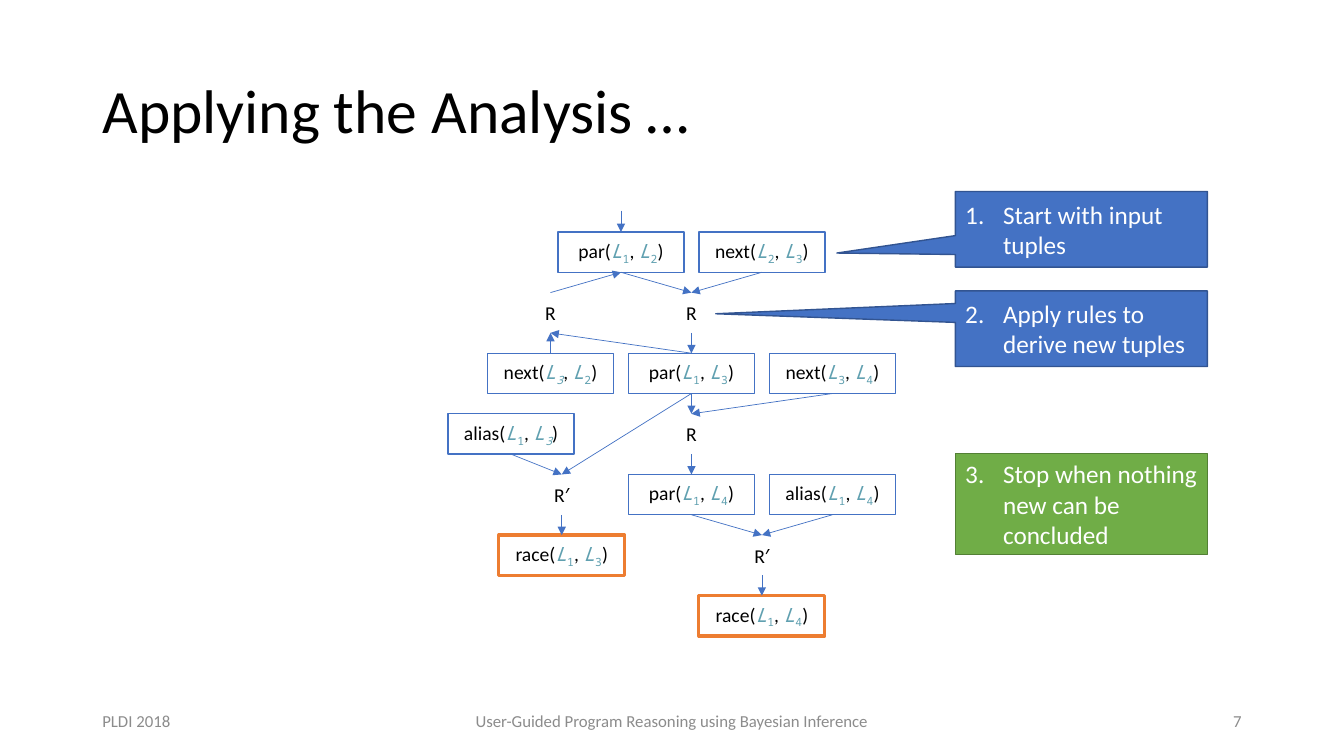
import pptx
import pptx.util
import pptx.dml.color
import pptx.enum.shapes
import pptx.enum.text
from pptx.oxml.ns import qn
from lxml import etree

Pt = pptx.util.Pt
Shape = pptx.enum.shapes.MSO_SHAPE
Align = pptx.enum.text.PP_ALIGN
TOP, BOTTOM = 0, 2

BLUE, ORANGE, GREEN = "4472C4", "ED7D31", "70AD47"
BLACK, WHITE, GREY, TEAL = "000000", "FFFFFF", "8C8C8C", "60A0B0"

TITLE = "Applying the Analysis …"

# Tuples: key -> (relation, label subscripts, column, row); "/" marks an italic subscript
TUPLES = {
    "par12": ("par", ("1", "2"), 1, 0),
    "next23": ("next", ("2", "3"), 3, 0),
    "next32": ("next", ("/3", "2"), 0, 2),
    "par13": ("par", ("1", "3"), 2, 2),
    "next34": ("next", ("3", "4"), 4, 2),
    "alias13": ("alias", ("1", "/3"), -0.56, 3),
    "par14": ("par", ("1", "4"), 2, 4),
    "alias14": ("alias", ("1", "4"), 4, 4),
    "race13": ("race", ("1", "3"), 0.16, 5),
    "race14": ("race", ("1", "4"), 3, 6),
}

# Rules: key -> (text, column, row)
RULES = {
    "back": ("R", 0, 1),
    "step13": ("R", 2, 1),
    "step14": ("R", 2, 3),
    "race13 rule": ("R′", 0.16, 4),
    "race14 rule": ("R′", 3, 5),
}

# Arrows: (from, side, to, side)
ARROWS = [
    ("par12", BOTTOM, "step13", TOP),
    ("next23", BOTTOM, "step13", TOP),
    ("step13", BOTTOM, "par13", TOP),
    ("par13", BOTTOM, "step14", TOP),
    ("next34", BOTTOM, "step14", TOP),
    ("step14", BOTTOM, "par14", TOP),
    ("par14", BOTTOM, "race14 rule", TOP),
    ("alias14", BOTTOM, "race14 rule", TOP),
    ("race14 rule", BOTTOM, "race14", TOP),
    ("next32", TOP, "back", BOTTOM),
    ("par13", TOP, "back", BOTTOM),
    ("back", TOP, "par12", BOTTOM),
    ("alias13", BOTTOM, "race13 rule", TOP),
    ("par13", BOTTOM, "race13 rule", TOP),
    ("race13 rule", BOTTOM, "race13", TOP),
]

# Steps: (text, shape, top, height, fill, line, pointer adjustments)
STEPS = [
    ("Start with input tuples", Shape.RECTANGULAR_CALLOUT,
     136.8, 54, BLUE, "325491", (-0.97, 0.314)),
    ("Apply rules to derive new tuples", Shape.RECTANGULAR_CALLOUT,
     207.8, 54, BLUE, "325491", (-1.451, -0.198)),
    ("Stop when nothing new can be concluded", Shape.RECTANGLE,
     324, 72, GREEN, "538035", ()),
]

# Footer: (text, left, width, alignment)
FOOTER = [
    ("PLDI 2018", 66, 216, Align.LEFT),
    ("User-Guided Program Reasoning using Bayesian Inference", 318, 324, Align.CENTER),
    ("7", 678, 216, Align.RIGHT),
]

NODE_WIDTH, NODE_HEIGHT = 90, 28.8
FIRST_CENTRE, COLUMN_STEP = 393.2, 50.35
FIRST_TOP, ROW_STEP = 165.7, 43.3

deck = pptx.Presentation()
deck.slide_width, deck.slide_height = Pt(960), Pt(540)
page = deck.slides.add_slide(deck.slide_layouts[5])


def color(value):
    return pptx.dml.color.RGBColor.from_string(value)


def add_text(para, text, size=14, font="Calibri", fill=BLACK, italic=False, baseline=0):
    span = para.add_run()
    span.text = text
    span.font.size, span.font.name, span.font.italic = Pt(size), font, italic
    span.font.color.rgb = color(fill)
    if baseline:
        span._r.get_or_add_rPr().set("baseline", str(baseline * 1000))


def first_paragraph(box, align=Align.LEFT):
    """Set up the box's text frame and return its empty paragraph."""
    frame = box.text_frame
    frame.word_wrap = True
    frame.vertical_anchor = pptx.enum.text.MSO_ANCHOR.MIDDLE
    para = frame.paragraphs[0]
    para.alignment = align
    return para


def add_box(kind, left, top, width, height, fill, line, weight):
    box = page.shapes.add_shape(kind, Pt(left), Pt(top), Pt(width), Pt(height))
    box.shadow.inherit = False
    box.fill.solid()
    box.fill.fore_color.rgb = color(fill)
    box.line.color.rgb = color(line)
    box.line.width = Pt(weight)
    return box


def node_corner(column, row):
    centre = FIRST_CENTRE + column * COLUMN_STEP
    return centre - NODE_WIDTH / 2, FIRST_TOP + row * ROW_STEP


def add_arrow(start=(0, 0), end=(0, 0)):
    arrow = page.shapes.add_connector(
        pptx.enum.shapes.MSO_CONNECTOR.STRAIGHT, *map(Pt, start + end))
    arrow.line.color.rgb = color(BLUE)
    arrow.line.width = Pt(0.5)
    etree.SubElement(arrow.line._get_or_add_ln(), qn("a:tailEnd"), type="triangle")
    etree.SubElement(arrow._element.spPr, qn("a:effectLst"))
    return arrow


def number_paragraph(para, number):
    props = para._p.get_or_add_pPr()
    props.set("marL", str(Pt(27)))
    props.set("indent", str(-Pt(27)))
    etree.SubElement(props, qn("a:buFont"), typeface="+mj-lt")
    etree.SubElement(props, qn("a:buAutoNum"), type="arabicPeriod", startAt=str(number))


title = page.shapes.title
title.left, title.top, title.width, title.height = Pt(66), Pt(28.8), Pt(828), Pt(104.4)
title_para = first_paragraph(title)
title_para.line_spacing = 0.9
add_text(title_para, TITLE, size=44)

nodes = {}
for key, (relation, labels, column, row) in TUPLES.items():
    line, weight = (ORANGE, 2.25) if relation == "race" else (BLUE, 1)
    nodes[key] = add_box(Shape.RECTANGLE, *node_corner(column, row),
                         NODE_WIDTH, NODE_HEIGHT, WHITE, line, weight)
    para = first_paragraph(nodes[key], Align.CENTER)
    for opening, label, closing in zip((relation + "(", ", "), labels, ("", ")")):
        add_text(para, opening)
        add_text(para, "L", font="Noto Sans Mono", fill=TEAL, italic=True)
        add_text(para, label.strip("/"), font="Noto Sans Mono", fill=TEAL,
                 italic=label.startswith("/"), baseline=-25)
        if closing:
            add_text(para, closing)

for key, (text, column, row) in RULES.items():
    left, top = node_corner(column, row)
    nodes[key] = page.shapes.add_textbox(Pt(left), Pt(top), Pt(NODE_WIDTH), Pt(NODE_HEIGHT))
    add_text(first_paragraph(nodes[key], Align.CENTER), text)

for source, source_side, target, target_side in ARROWS:
    arrow = add_arrow()
    arrow.begin_connect(nodes[source], source_side)
    arrow.end_connect(nodes[target], target_side)

entry = FIRST_CENTRE + COLUMN_STEP
add_arrow((entry, 150.5), (entry, FIRST_TOP)).end_connect(nodes["par12"], TOP)

for number, (text, kind, top, height, fill, line, pointer) in enumerate(STEPS, 1):
    box = add_box(kind, 682.4, top, 180, height, fill, line, 1)
    for index, value in enumerate(pointer):
        box.adjustments[index] = value
    para = first_paragraph(box)
    number_paragraph(para, number)
    add_text(para, text, size=18, fill=WHITE)

for text, left, width, align in FOOTER:
    box = page.shapes.add_textbox(Pt(left), Pt(500.5), Pt(width), Pt(28.8))
    add_text(first_paragraph(box, align), text, size=12, fill=GREY)

deck.save("out.pptx")
